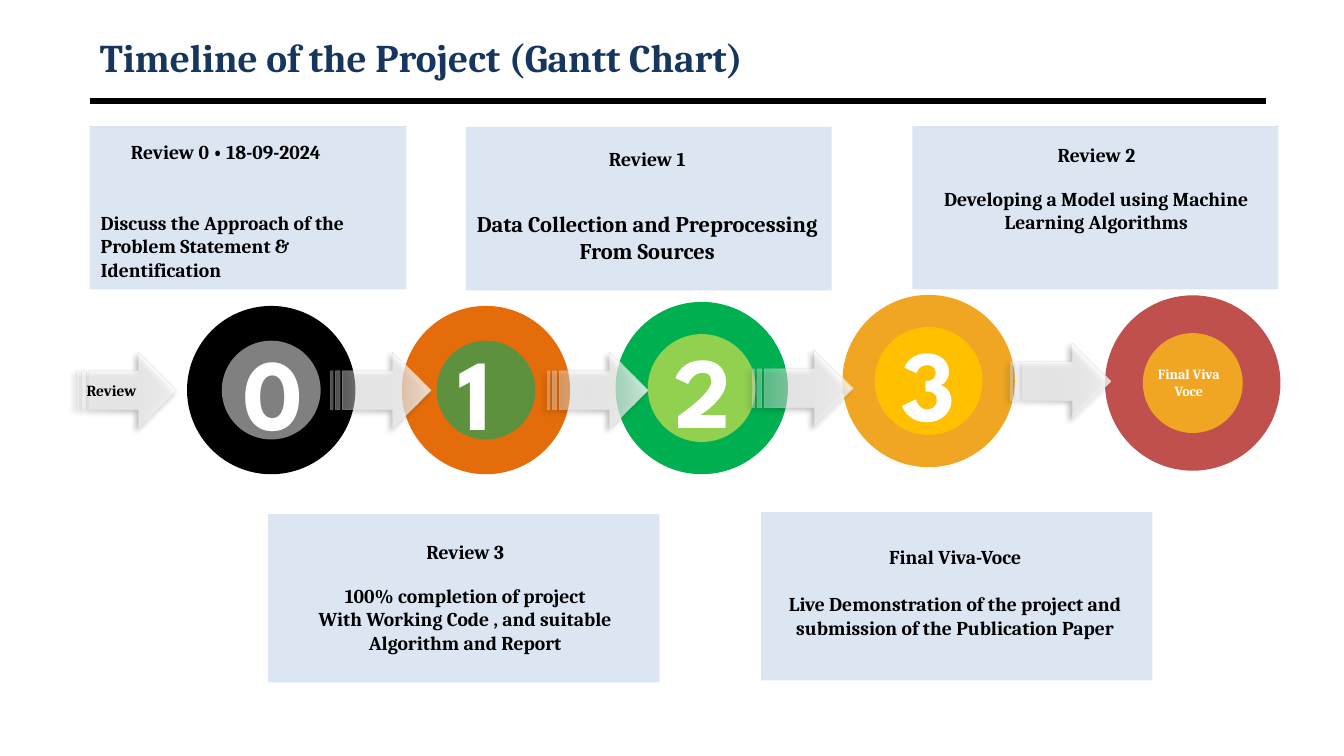
"""Build the project timeline slide."""
from dataclasses import dataclass

from lxml import etree
from pptx import Presentation
from pptx.dml.color import RGBColor
from pptx.enum.shapes import MSO_CONNECTOR, MSO_SHAPE
from pptx.enum.text import MSO_ANCHOR, PP_ALIGN
from pptx.oxml import parse_xml
from pptx.oxml.ns import qn
from pptx.util import Inches, Pt

LEFT, CENTER = PP_ALIGN.LEFT, PP_ALIGN.CENTER
MIDDLE = MSO_ANCHOR.MIDDLE
OVAL, CARD = MSO_SHAPE.OVAL, MSO_SHAPE.RECTANGLE
ARROW = MSO_SHAPE.STRIPED_RIGHT_ARROW
STRAIGHT = MSO_CONNECTOR.STRAIGHT
NAMESPACE = 'xmlns:a="http://schemas.openxmlformats.org/drawingml/2006/main"'


@dataclass(frozen=True)
class Theme:
    """Colours, fonts and type sizes."""
    serif: str = "Cambria"
    display: str = "League Spartan"
    navy: str = "17365D"
    black: str = "000000"
    white: str = "FFFFFF"
    card: str = "DCE6F2"
    arrow_edge: str = "BFBFBF"
    title: int = 28
    number: int = 72
    large: int = 16
    body: int = 14
    small: int = 12
    arrow_label: int = 11
    ring_label: int = 10


THEME = Theme()
TITLE = "Timeline of the Project (Gantt Chart)"

# (centre x, centre y, outer size, inner size, outer colour, inner colour, label)
RINGS = [
    (2.69, 3.87, 1.67, 0.98, "000000", "808080", "0"),
    (4.82, 3.87, 1.67, 0.98, "E46C0A", "5E913E", "1"),
    (6.96, 3.85, 1.71, 1.07, "00B050", "92D050", "2"),
    (9.21, 3.78, 1.71, 1.07, "F0A622", "FFC000", "3"),
    (11.83, 3.8, 1.74, 0.99, "C0504D", "F0A622", "Final Viva\nVoce"),
]
ARROWS = [(0.76, 3.49), (3.28, 3.49), (5.43, 3.49), (7.46, 3.47), (10.02, 3.4)]
ARROW_SIZE = (0.99, 0.76)
ARROW_LABEL = "Review"

CARDS = [
    {"box": (0.89, 1.25, 3.14, 1.62), "text_box": (0.9, 1.34, 3.43, 1.51),
     "heading": "Review 0 • 18-09-2024", "gap": 33.6, "align": LEFT, "indent": 0.3,
     "size": THEME.body,
     "lines": ["Discuss the Approach of the", "Problem Statement &", "Identification"]},
    {"box": (4.62, 1.26, 3.63, 1.62), "text_box": (4.55, 1.41, 3.74, 1.28),
     "heading": "Review 1", "gap": 28.5, "align": CENTER, "indent": 0,
     "size": THEME.large,
     "lines": ["Data Collection and Preprocessing", "From Sources"]},
    {"box": (9.05, 1.25, 3.63, 1.62), "text_box": (8.91, 1.37, 3.93, 1.01),
     "heading": "Review 2", "gap": 14.2, "align": CENTER, "indent": 0,
     "size": THEME.body,
     "lines": ["Developing a Model using Machine", "Learning Algorithms"]},
    {"box": (2.66, 5.1, 3.88, 1.67), "text_box": (2.65, 5.31, 3.93, 1.45),
     "heading": "Review 3", "gap": 14.2, "align": CENTER, "indent": 0,
     "size": THEME.body,
     "lines": ["100% completion of project",
               "With Working Code , and suitable Algorithm and Report"]},
    {"box": (7.55, 5.08, 3.88, 1.67), "text_box": (7.51, 5.36, 3.93, 1.25),
     "heading": "Final Viva-Voce", "gap": 16.8, "align": CENTER, "indent": 0,
     "size": THEME.body,
     "lines": ["Live Demonstration of the project and submission of the Publication Paper"]},
]


def inches(values):
    """Convert numbers to lengths."""
    return [Inches(value) for value in values]


def shadow_xml(blur, distance, degrees):
    """Return an outer shadow at 40 % opacity."""
    return (f'<a:effectLst {NAMESPACE}><a:outerShdw blurRad="{Pt(blur)}" dist="{Pt(distance)}" '
            f'dir="{degrees * 60000}" algn="tl" rotWithShape="0"><a:srgbClr val="{THEME.black}">'
            '<a:alpha val="40000"/></a:srgbClr></a:outerShdw></a:effectLst>')


def style(paragraph, size, color, font=THEME.serif, align=LEFT):
    """Format one paragraph in bold."""
    paragraph.alignment = align
    paragraph.font.name = font
    paragraph.font.size = Pt(size)
    paragraph.font.bold = True
    paragraph.font.color.rgb = RGBColor.from_string(color)


def add_text(slide, box, lines, size, color, font=THEME.serif, align=LEFT):
    """Add a text box with one paragraph a line and return its paragraphs."""
    frame = slide.shapes.add_textbox(*inches(box)).text_frame
    frame.word_wrap = True
    frame.text = "\n".join(lines)
    for paragraph in frame.paragraphs:
        style(paragraph, size, color, font, align)
    return frame.paragraphs


def add_solid(slide, kind, box, color):
    """Add a plain filled shape."""
    shape = slide.shapes.add_shape(kind, *inches(box))
    shape.shadow.inherit = False
    shape.fill.solid()
    shape.fill.fore_color.rgb = RGBColor.from_string(color)
    shape.line.fill.background()


def add_title(slide):
    """Fill the title placeholder and rule it off."""
    title = slide.shapes.title
    title.left, title.top, title.width, title.height = inches((0.89, 0.3, 11.67, 0.53))
    title.text_frame.text = TITLE
    title.text_frame.vertical_anchor = MIDDLE
    style(title.text_frame.paragraphs[0], THEME.title, THEME.navy)
    rule = slide.shapes.add_connector(STRAIGHT, *inches((0.89, 1, 12.56, 1)))
    rule.line.width = Pt(4.5)
    rule.line.color.rgb = RGBColor.from_string(THEME.black)
    etree.SubElement(rule._element.spPr, qn("a:effectLst"))


def add_arrow(slide, left, top):
    """Add a translucent striped arrow."""
    arrow = slide.shapes.add_shape(ARROW, *inches((left, top, *ARROW_SIZE)))
    stops = "".join(
        f'<a:gs pos="{position}"><a:srgbClr val="{THEME.white}"><a:alpha val="{alpha}"/>'
        '</a:srgbClr></a:gs>' for position, alpha in ((0, 30000), (100000, 80000)))
    properties = arrow._element.spPr
    for xml in (
            f'<a:gradFill {NAMESPACE}><a:gsLst>{stops}</a:gsLst><a:lin ang="0"/></a:gradFill>',
            f'<a:ln {NAMESPACE} w="{Pt(0.25)}"><a:solidFill><a:srgbClr val="{THEME.arrow_edge}">'
            '<a:alpha val="50000"/></a:srgbClr></a:solidFill></a:ln>',
            shadow_xml(4, 3, 135)):
        properties.append(parse_xml(xml))


def add_ring(slide, x, y, outer, inner, outer_color, inner_color):
    """Add two concentric discs."""
    for size, color in ((outer, outer_color), (inner, inner_color)):
        add_solid(slide, OVAL, (x - size / 2, y - size / 2, size, size), color)


def add_ring_label(slide, x, y, label):
    """Add the number or words inside a ring."""
    if label.isdigit():
        add_text(slide, (x - 0.37, y - 0.65, 0.92, 1.31), [label],
                 THEME.number, THEME.white, THEME.display)
    else:
        add_text(slide, (x - 0.5, y - 0.22, 0.92, 0.44), label.split("\n"),
                 THEME.ring_label, THEME.white, align=CENTER)


def add_card(slide, card):
    """Add a review card with its heading and description."""
    add_solid(slide, CARD, card["box"], THEME.card)
    paragraphs = add_text(slide, card["text_box"], [card["heading"], *card["lines"]],
                          card["size"], THEME.black, align=card["align"])
    paragraphs[0].font.size = Pt(THEME.body)
    paragraphs[0]._p.get_or_add_pPr().set("marL", str(Inches(card["indent"])))
    paragraphs[1].space_before = Pt(card["gap"])
    for paragraph in paragraphs:
        for run in paragraph.runs:
            run._r.get_or_add_rPr().append(parse_xml(shadow_xml(3, 3, 45)))


def main():
    """Assemble and save the slide."""
    presentation = Presentation()
    presentation.slide_width, presentation.slide_height = inches((13.33, 7.5))
    slide = presentation.slides.add_slide(presentation.slide_layouts[5])
    add_title(slide)
    for *ring, _ in RINGS:
        add_ring(slide, *ring)
    for left, top in ARROWS:
        add_arrow(slide, left, top)
    add_text(slide, (0.76, 3.73, 0.79, 0.29), [ARROW_LABEL], THEME.arrow_label, THEME.black)
    for x, y, *_, label in RINGS:
        add_ring_label(slide, x, y, label)
    for card in CARDS:
        add_card(slide, card)
    presentation.save("out.pptx")


if __name__ == "__main__":
    main()
